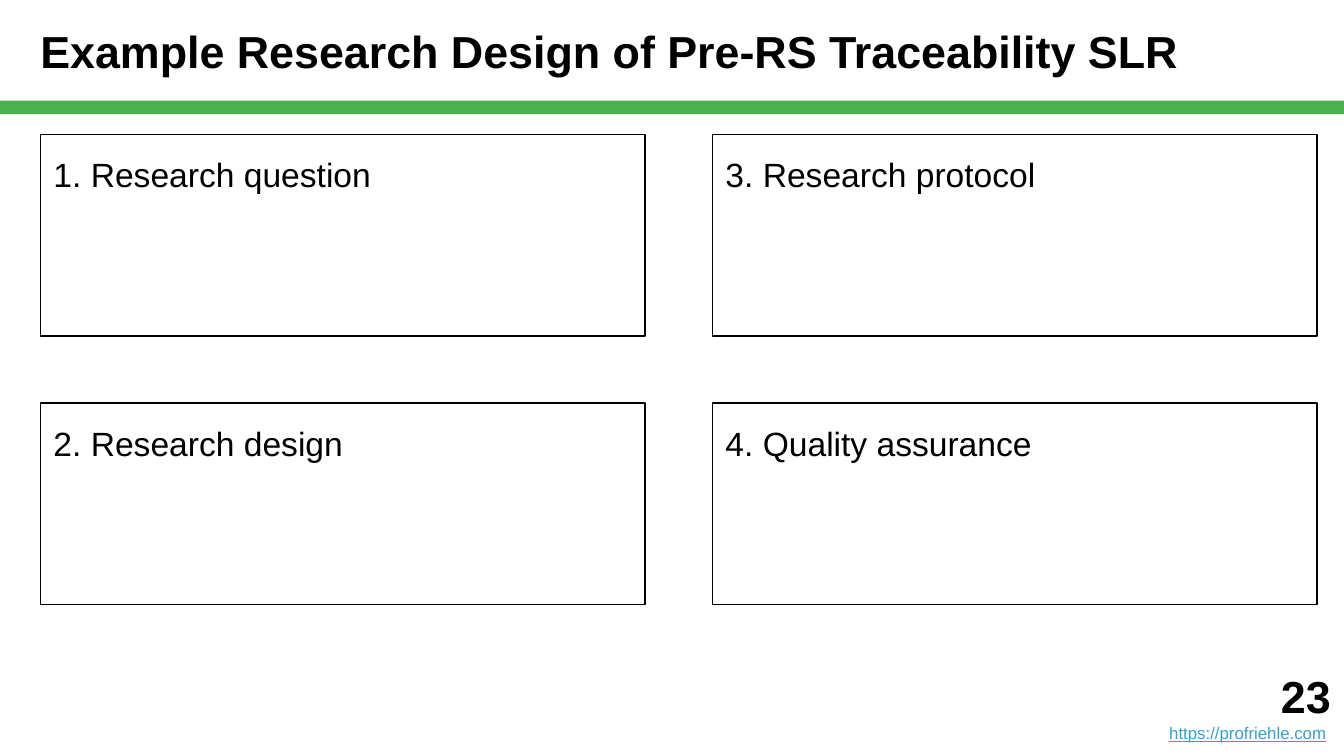
from pptx import Presentation
from pptx import util as u
from pptx.dml.color import RGBColor
from pptx.enum import shapes, text

BLACK = "000000"
GREEN = "4CAF50"
LINK_BLUE = "34A3C5"
GREY = "808080"
FONT = "Arial"


def colour(hex_code):
    return RGBColor.from_string(hex_code)


def add_span(para, words, size=18, color=BLACK, bold=False, underline=False):
    span = para.add_run()
    span.text = words
    font = span.font
    font.name = FONT
    font.size = u.Pt(size)
    font.bold = bold
    font.underline = underline
    font.color.rgb = colour(color)


def set_frame(frame, anchor, insets):
    frame.word_wrap = True
    frame.vertical_anchor = anchor
    left, top, right, bottom = (u.Inches(inset) for inset in insets)
    frame.margin_left, frame.margin_top = left, top
    frame.margin_right, frame.margin_bottom = right, bottom


def add_rectangle(page, box, fill=None, line=None):
    shape = page.shapes.add_shape(
        shapes.MSO_SHAPE.RECTANGLE, *(u.Inches(side) for side in box))
    shape.shadow.inherit = False
    if fill:
        shape.fill.solid()
        shape.fill.fore_color.rgb = colour(fill)
    else:
        shape.fill.background()
    if line:
        shape.line.color.rgb = colour(line)
        shape.line.width = u.Pt(0.75)
    else:
        shape.line.fill.background()
    return shape


def add_header(page, left, top, width, height):
    # Title with the green rule below it
    rule = 0.1
    title_height = height - rule
    add_rectangle(page, (left, top + title_height, width, rule), fill=GREEN)
    title = page.shapes.add_textbox(
        u.Inches(left), u.Inches(top), u.Inches(width), u.Inches(title_height))
    set_frame(title.text_frame, text.MSO_ANCHOR.MIDDLE, (0.3, 0, 0, 0))
    add_span(title.text_frame.paragraphs[0],
             "Example Research Design of Pre-RS Traceability SLR",
             size=24, bold=True)


def add_panels(page, left, top, width, height):
    # Two by two panels, numbered down each column
    panel_width, panel_height = 4.5, 1.5
    topics = ["Research question", "Research design",
              "Research protocol", "Quality assurance"]
    for index, topic in enumerate(topics):
        column, row = divmod(index, 2)
        panel = add_rectangle(
            page,
            (left + column * (width - panel_width),
             top + row * (height - panel_height),
             panel_width, panel_height),
            line=BLACK)
        set_frame(panel.text_frame, text.MSO_ANCHOR.TOP, (0.1,) * 4)
        para = panel.text_frame.paragraphs[0]
        para.alignment = text.PP_ALIGN.LEFT
        para.line_spacing = 1.15
        para.space_after = u.Pt(12)
        add_span(para, f"{index + 1}. {topic}")


def add_footer(page, left, top, width, height):
    # Page number above the web address
    footer = page.shapes.add_textbox(
        u.Inches(left), u.Inches(top), u.Inches(width), u.Inches(height))
    frame = footer.text_frame
    set_frame(frame, text.MSO_ANCHOR.BOTTOM, (0.1,) * 4)
    number, address = frame.paragraphs[0], frame.add_paragraph()
    number.alignment = address.alignment = text.PP_ALIGN.RIGHT
    add_span(number, "23", size=24, bold=True)
    add_span(address, "https://profriehle.com",
             size=9, color=LINK_BLUE, underline=True)
    add_span(address, " ", size=9, color=GREY)


def main():
    deck = Presentation()
    # Widescreen, 16:9
    deck.slide_width = u.Inches(10)
    deck.slide_height = u.Inches(10 * 9 / 16)
    page = deck.slides.add_slide(deck.slide_layouts[6])
    add_header(page, 0, 0, 10, 0.85)
    add_panels(page, 0.3, 1, 9.5, 3.5)
    add_footer(page, 8, 4.83, 2, 0.8)
    deck.save("out.pptx")


if __name__ == "__main__":
    main()
